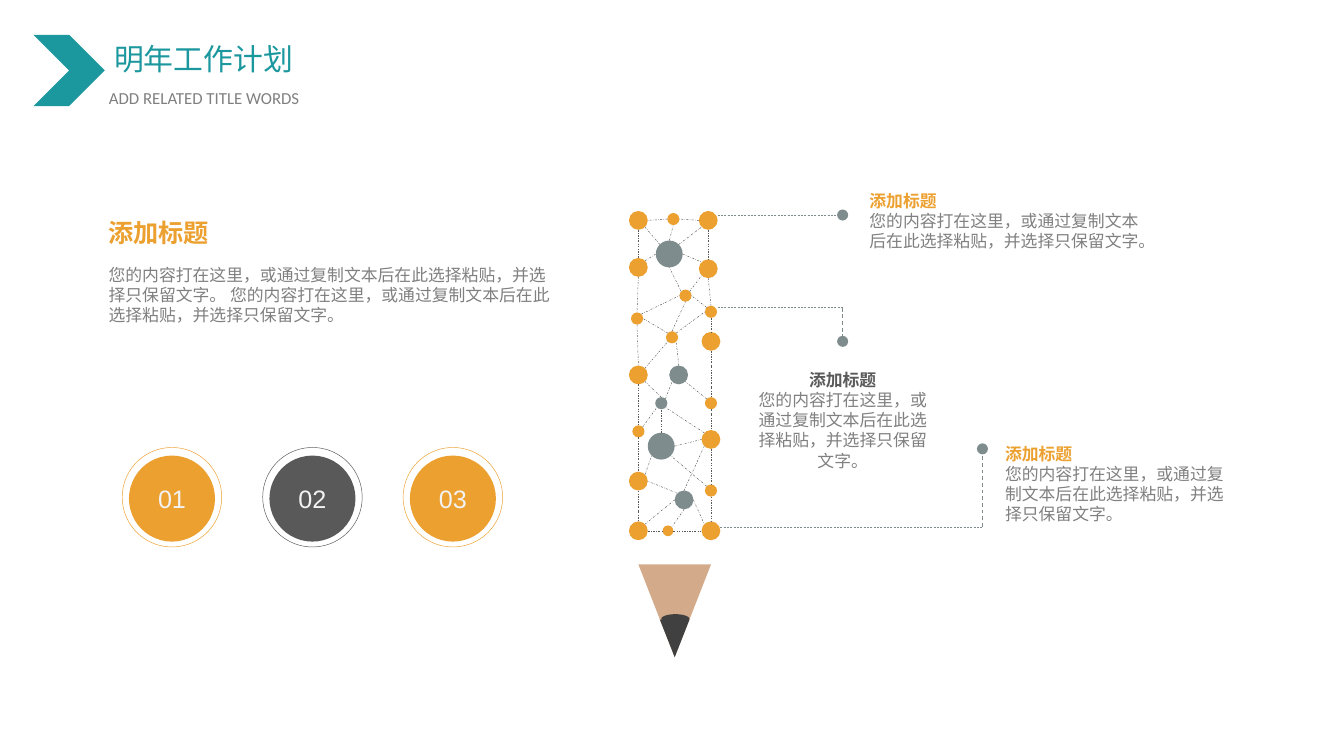
from math import cos, radians, sin

from lxml import etree
from pptx import Presentation
from pptx.dml.color import RGBColor
from pptx.enum.dml import MSO_LINE
from pptx.enum.shapes import MSO_CONNECTOR, MSO_SHAPE
from pptx.enum.text import MSO_ANCHOR, PP_ALIGN
from pptx.oxml.ns import qn
from pptx.util import Inches, Pt

OVAL, TRIANGLE, CHEVRON = MSO_SHAPE.OVAL, MSO_SHAPE.ISOSCELES_TRIANGLE, MSO_SHAPE.CHEVRON
STRAIGHT = MSO_CONNECTOR.STRAIGHT
DASH, DASH_DOT = MSO_LINE.DASH, MSO_LINE.DASH_DOT
LEFT, CENTER, JUSTIFY = PP_ALIGN.LEFT, PP_ALIGN.CENTER, PP_ALIGN.JUSTIFY
MIDDLE = MSO_ANCHOR.MIDDLE

TEAL = RGBColor(0x1B, 0x97, 0x9E)
ORANGE = RGBColor(0xEC, 0xA0, 0x2F)
SLATE = RGBColor(0x7F, 0x8C, 0x8D)
DARK = RGBColor(0x59, 0x59, 0x59)
GRAY = RGBColor(0x80, 0x80, 0x80)
WOOD = RGBColor(0xD3, 0xAB, 0x8B)
LEAD = RGBColor(0x40, 0x40, 0x40)
PALE = RGBColor(0xF2, 0xF2, 0xF2)

# 16:9 page
prs = Presentation()
prs.slide_width = Inches(10)
prs.slide_height = Inches(10 * 9 / 16)
slide = prs.slides.add_slide(prs.slide_layouts[6])
shapes = slide.shapes


def add_filled(kind, x, y, w, h, color):
    shape = shapes.add_shape(kind, Inches(x), Inches(y), Inches(w), Inches(h))
    shape.shadow.inherit = False
    shape.fill.solid()
    shape.fill.fore_color.rgb = color
    shape.line.fill.background()
    return shape


def add_dashed(start, end, color, width, dash):
    line = shapes.add_connector(STRAIGHT, *(Inches(v) for v in (*start, *end)))
    line.line.color.rgb = color
    line.line.width = Pt(width)
    line.line.dash_style = dash
    etree.SubElement(line._element.spPr, qn("a:effectLst"))
    return line


# Slide heading
add_filled(CHEVRON, 0.25, 0.26, 0.53, 0.53, TEAL)
for words, x, y, w, h, size, font, color in [
    ("明年工作计划", 0.78, 0.26, 2.01, 0.35, 16, "Noto Sans CJK SC", TEAL),
    ("ADD RELATED TITLE WORDS", 0.74, 0.61, 2.05, 0.23, 9, "Calibri", GRAY),
]:
    frame = shapes.add_textbox(Inches(x), Inches(y), Inches(w), Inches(h)).text_frame
    frame.word_wrap = True
    frame.margin_left = frame.margin_right = Inches(0.07)
    frame.margin_top = frame.margin_bottom = Inches(0.04)
    frame.text = words
    heading = frame.paragraphs[0]
    heading.alignment = JUSTIFY
    heading.font.size = Pt(size)
    heading.font.name = font
    heading.font.color.rgb = color

# Pencil tip
for x, y, w, h, color in [(4.75, 4.2, 0.54, 0.69, WOOD), (4.91, 4.61, 0.22, 0.28, LEAD)]:
    add_filled(TRIANGLE, x, y, w, h, color).rotation = 180
add_filled(OVAL, 4.92, 4.57, 0.21, 0.07, LEAD)

# Pencil body: nodes as centre x, centre y, diameter, colour
SMALL, MEDIUM, LARGE = 0.09, 0.14, 0.2
nodes = {
    "L1": (4.75, 1.64, MEDIUM, ORANGE), "L2": (4.75, 1.99, MEDIUM, ORANGE),
    "L3": (4.74, 2.37, SMALL, ORANGE), "L4": (4.75, 2.79, MEDIUM, ORANGE),
    "L5": (4.75, 3.21, SMALL, ORANGE), "L6": (4.75, 3.58, MEDIUM, ORANGE),
    "L7": (4.75, 3.95, MEDIUM, ORANGE),
    "R1": (5.27, 1.64, MEDIUM, ORANGE), "R2": (5.27, 2, MEDIUM, ORANGE),
    "R3": (5.29, 2.32, SMALL, ORANGE), "R4": (5.29, 2.54, MEDIUM, ORANGE),
    "R5": (5.29, 3, SMALL, ORANGE), "R6": (5.29, 3.27, MEDIUM, ORANGE),
    "R7": (5.29, 3.65, SMALL, ORANGE), "R8": (5.29, 3.95, MEDIUM, ORANGE),
    "M1": (5.01, 1.63, SMALL, ORANGE), "M2": (5.1, 2.2, SMALL, ORANGE),
    "M3": (5, 2.51, SMALL, ORANGE), "M4": (4.97, 3.95, 0.08, ORANGE),
    "G1": (4.98, 1.89, LARGE, SLATE), "G2": (5.05, 2.79, MEDIUM, SLATE),
    "G3": (4.92, 3, SMALL, SLATE), "G4": (4.92, 3.32, LARGE, SLATE),
    "G5": (5.09, 3.72, MEDIUM, SLATE),
}
for x, y, d, color in nodes.values():
    add_filled(OVAL, x - d / 2, y - d / 2, d, d, color)

# Links run from one node's compass point to another's
compass = {point: radians(45 * i)
           for i, point in enumerate(["E", "SE", "S", "SW", "W", "NW", "N", "NE"])}
links = [f"{side}{i} S {side}{i + 1} N" for side, count in (("L", 7), ("R", 8))
         for i in range(1, count)]
links += [
    "L7 E M4 W", "M4 E R8 W", "R1 W M1 E", "M1 W L1 E",
    "L7 NE G5 W", "G5 E R8 NW", "G5 S M4 NE", "G5 NW L6 E",
    "L6 NE G4 SW", "G4 E R6 W", "R7 NW G4 SE", "G5 N R6 SW",
    "R6 NW G3 SE", "L5 NE G3 SW", "G3 NE G2 SW", "R5 NW G2 SE",
    "G4 N G3 S", "G3 N L4 SE", "L4 NE M3 SW", "M3 NW L3 E",
    "L3 NE M2 W", "M3 N M2 S", "G2 N M3 SE", "M3 NE R3 W",
    "R3 NW M2 E", "M2 NE R2 SW", "M2 NW G1 S", "L2 NE G1 W",
    "G1 NW L1 SE", "G1 N M1 S", "G1 NE R1 SW", "G1 E R2 NW",
]
for link in links:
    from_node, from_point, to_node, to_point = link.split()
    ends = []
    for node, point in ((from_node, from_point), (to_node, to_point)):
        x, y, d, _ = nodes[node]
        ends.append((x + d / 2 * cos(compass[point]), y + d / 2 * sin(compass[point])))
    add_dashed(*ends, DARK, 0.25, DASH_DOT)

# Leader lines, some ending in a dot
for start, end, width, dotted in [
    ((5.34, 1.6), (6.27, 1.6), 0.25, True),
    ((5.34, 2.29), (6.27, 2.29), 0.25, False),
    ((6.27, 2.29), (6.27, 2.54), 0.5, True),
    ((5.36, 3.92), (7.31, 3.92), 0.25, False),
    ((7.31, 3.92), (7.31, 3.34), 0.5, True),
]:
    leader = add_dashed(start, end, SLATE, width, DASH)
    if dotted:
        etree.SubElement(leader.line._get_or_add_ln(), qn("a:tailEnd"), type="oval")

# Titled text blocks
BODY = "您的内容打在这里，或通过复制文本后在此选择粘贴，并选择只保留文字。"
for x, y, w, h, body, size, gap, align, color in [
    (6.37, 1.37, 2.21, 0.71, BODY, 9, 0, LEFT, ORANGE),
    (5.5, 2.7, 1.54, 0.86, BODY, 9, 0, CENTER, DARK),
    (7.38, 3.25, 1.87, 0.71, BODY, 9, 0, LEFT, ORANGE),
    (0.71, 1.57, 3.53, 0.91, f"{BODY} {BODY}", 13.5, 9, LEFT, ORANGE),
]:
    frame = shapes.add_textbox(Inches(x), Inches(y), Inches(w), Inches(h)).text_frame
    frame.word_wrap = True
    frame.text = f"添加标题\n{body}"
    title, detail = frame.paragraphs
    detail.space_before = Pt(gap)
    for paragraph, points, tint, bold in ((title, size, color, True), (detail, 9, GRAY, False)):
        paragraph.alignment = align
        paragraph.font.name = "Arial"
        paragraph.font.size = Pt(points)
        paragraph.font.bold = bold
        paragraph.font.color.rgb = tint

# Numbered badges with rings
for i, color in enumerate([ORANGE, DARK, ORANGE]):
    x = 0.91 + 1.045 * i
    badge = add_filled(OVAL, x + 0.05, 3.39, 0.64, 0.64, color)
    badge.text_frame.text = f"{i + 1:02}"
    badge.text_frame.vertical_anchor = MIDDLE
    number = badge.text_frame.paragraphs[0]
    number.alignment = CENTER
    number.font.name = "Arial"
    number.font.size = Pt(13.5)
    number.font.color.rgb = PALE
    ring = add_filled(OVAL, x, 3.33, 0.74, 0.74, color)
    ring.fill.background()
    ring.line.color.rgb = color
    ring.line.width = Pt(0.25)

prs.save("out.pptx")
